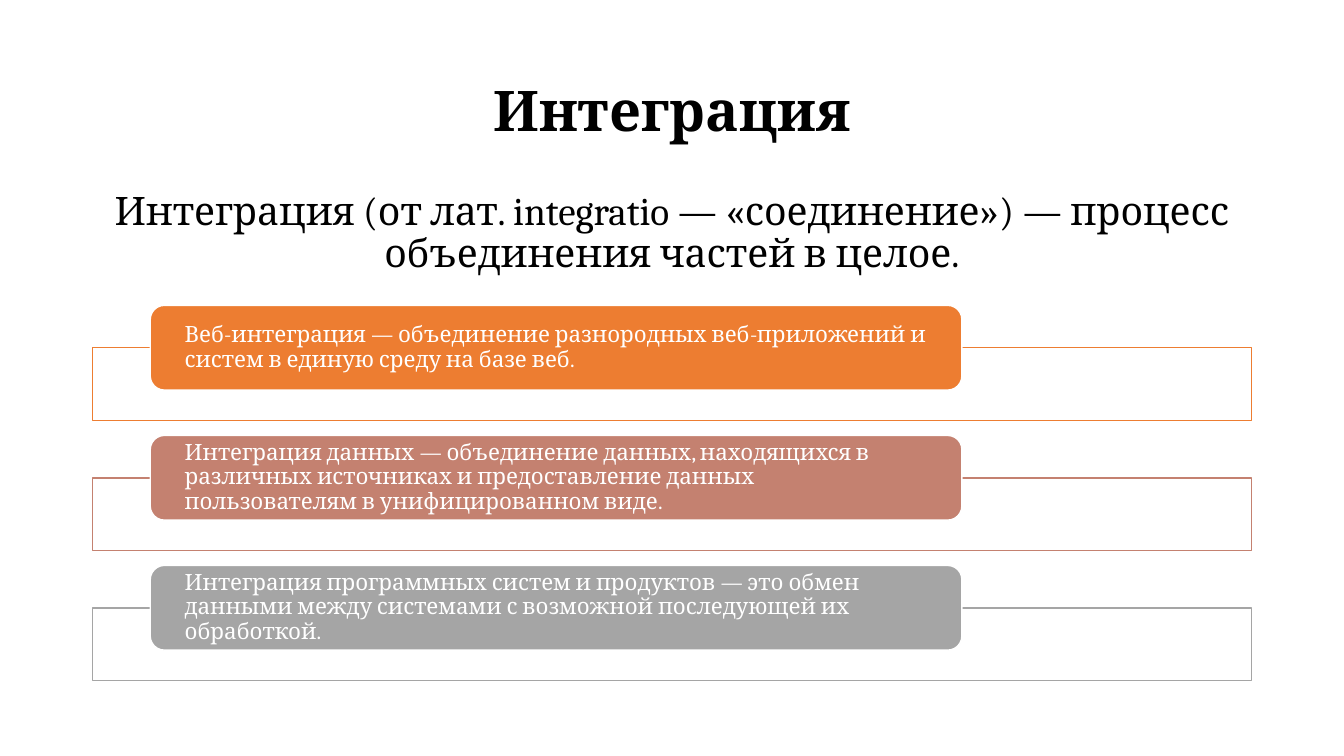
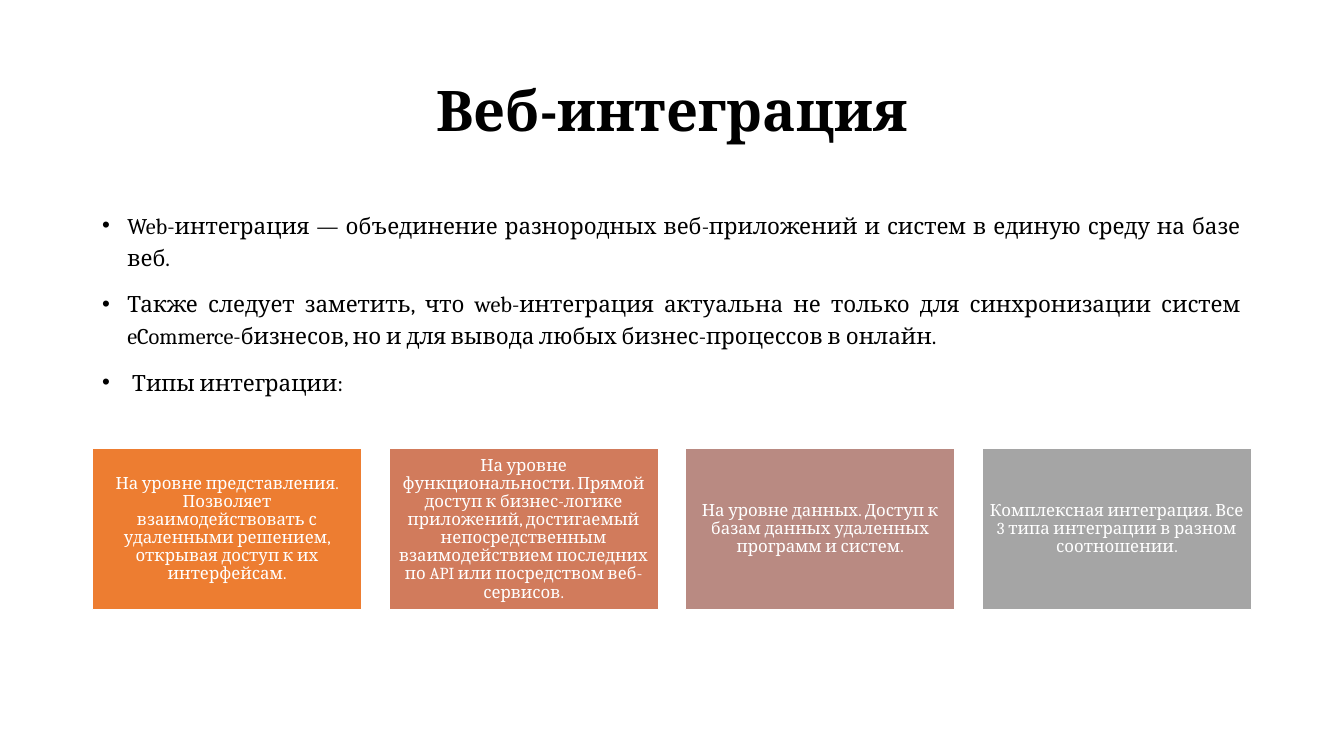
"""Build two slides on integration and its types."""
from dataclasses import dataclass

import lxml.etree
import pptx
import pptx.dml.color
import pptx.enum.shapes
import pptx.enum.text
import pptx.oxml.ns
import pptx.util

Inches = pptx.util.Inches
Pt = pptx.util.Pt
Align = pptx.enum.text.PP_ALIGN
Anchor = pptx.enum.text.MSO_ANCHOR
Preset = pptx.enum.shapes.MSO_SHAPE

SLIDE_WIDTH, SLIDE_HEIGHT = 13.33, 7.5
CONTENT_WIDTH = 11.5
MARGIN = (SLIDE_WIDTH - CONTENT_WIDTH) / 2
FONT = "Cambria"
BLACK, WHITE = "000000", "FFFFFF"
ORANGE, GRAY = "ED7D31", "A5A5A5"

BAND_TOP, BAND_PITCH, BAND_HEIGHT = 3.45, 1.29, 0.72
LABEL_RISE, LABEL_HEIGHT = 0.42, 0.84
LABEL_INDENT, LABEL_SHARE = 0.05, 0.7

CARD_TOP, CARD_HEIGHT = 4.45, 1.6
CARD_GAP_SHARE = 0.1
BULLET_INDENT = 0.25


@dataclass(frozen=True)
class Box:
    left: float
    top: float
    width: float
    height: float

    def lengths(self) -> tuple:
        return tuple(map(Inches, (self.left, self.top, self.width, self.height)))


@dataclass(frozen=True)
class Style:
    size: float
    color: str = BLACK
    bold: bool = False
    align: Align = Align.CENTER
    anchor: Anchor = Anchor.MIDDLE
    line_spacing: float = 0.9
    space_before: float = 0
    bullet: str = ""
    inset_x: float = 0.1
    inset_y: float = 0.05


@dataclass(frozen=True)
class Item:
    text: str
    color: str


TITLE_BOX = Box(MARGIN, 0.4, CONTENT_WIDTH, 1.45)
TITLE = Style(40, bold=True)
DEFINITION = Style(28, anchor=Anchor.TOP, space_before=10)
BULLETS = Style(16, align=Align.JUSTIFY, anchor=Anchor.TOP,
                line_spacing=1.2, space_before=10, bullet="•")
LABEL = Style(16, WHITE, align=Align.LEFT, inset_x=0.3, inset_y=0)
CARD = Style(12, WHITE, inset_x=0.05)

KINDS = [
    Item("Веб-интеграция — объединение разнородных веб-приложений и систем "
         "в единую среду на базе веб.", ORANGE),
    Item("Интеграция данных — объединение данных, находящихся в различных источниках "
         "и предоставление данных пользователям в унифицированном виде.", "C48170"),
    Item("Интеграция программных систем и продуктов — это обмен данными между "
         "системами с возможной последующей их обработкой.", GRAY),
]
WEB_NOTES = [
    "Web-интеграция — объединение разнородных веб-приложений и систем "
    "в единую среду на базе веб.",
    "Также следует заметить, что web-интеграция актуальна не только для синхронизации "
    "систем eCommerce-бизнесов, но и для вывода любых бизнес-процессов в онлайн.",
    " Типы интеграции:",
]
LEVELS = [
    Item("На уровне представления. Позволяет взаимодействовать с удаленными решением, "
         "открывая доступ к их интерфейсам.", ORANGE),
    Item("На уровне функциональности. Прямой доступ к бизнес-логике приложений, "
         "достигаемый непосредственным взаимодействием последних по API "
         "или посредством веб-сервисов.", "D17B5C"),
    Item("На уровне данных. Доступ к базам данных удаленных программ и систем.", "B98A82"),
    Item("Комплексная интеграция. Все 3 типа интеграции в разном соотношении.", GRAY),
]


def rgb(value: str) -> pptx.dml.color.RGBColor:
    return pptx.dml.color.RGBColor.from_string(value)


def add_bullet(paragraph, mark: str) -> None:
    properties = paragraph._p.get_or_add_pPr()
    properties.set("marL", str(Inches(BULLET_INDENT)))
    properties.set("indent", str(-Inches(BULLET_INDENT)))
    qn = pptx.oxml.ns.qn
    lxml.etree.SubElement(properties, qn("a:buFont")).set("typeface", "Arial")
    lxml.etree.SubElement(properties, qn("a:buChar")).set("char", mark)


def write(frame, texts: list[str], style: Style) -> None:
    frame.word_wrap = True
    frame.vertical_anchor = style.anchor
    frame.margin_left = frame.margin_right = Inches(style.inset_x)
    frame.margin_top = frame.margin_bottom = Inches(style.inset_y)
    for index, text in enumerate(texts):
        paragraph = frame.add_paragraph() if index else frame.paragraphs[0]
        paragraph.text = text
        paragraph.alignment = style.align
        paragraph.line_spacing = style.line_spacing
        paragraph.space_before = Pt(style.space_before)
        if style.bullet:
            add_bullet(paragraph, style.bullet)
        font = paragraph.font
        font.name, font.size, font.bold = FONT, Pt(style.size), style.bold
        font.color.rgb = rgb(style.color)


def add_text(slide, box: Box, texts: list[str], style: Style) -> None:
    write(slide.shapes.add_textbox(*box.lengths()).text_frame, texts, style)


def add_panel(slide, preset: Preset, box: Box, fill: str, line: str):
    panel = slide.shapes.add_shape(preset, *box.lengths())
    panel.shadow.inherit = False
    panel.fill.solid()
    panel.fill.fore_color.rgb = rgb(fill)
    panel.line.color.rgb = rgb(line)
    panel.line.width = Pt(1)
    return panel


def add_titled_slide(deck, title: str):
    slide = deck.slides.add_slide(deck.slide_layouts[6])
    add_text(slide, TITLE_BOX, [title], TITLE)
    return slide


def add_bands(slide, items: list[Item]) -> None:
    for row, item in enumerate(items):
        top = BAND_TOP + row * BAND_PITCH
        band = Box(MARGIN, top, CONTENT_WIDTH, BAND_HEIGHT)
        add_panel(slide, Preset.RECTANGLE, band, WHITE, item.color)
        label = Box(MARGIN + LABEL_INDENT * CONTENT_WIDTH, top - LABEL_RISE,
                    LABEL_SHARE * CONTENT_WIDTH, LABEL_HEIGHT)
        panel = add_panel(slide, Preset.ROUNDED_RECTANGLE, label, item.color, WHITE)
        write(panel.text_frame, [item.text], LABEL)


def add_cards(slide, items: list[Item]) -> None:
    width = CONTENT_WIDTH / (len(items) + CARD_GAP_SHARE * (len(items) - 1))
    for column, item in enumerate(items):
        left = MARGIN + column * width * (1 + CARD_GAP_SHARE)
        panel = add_panel(slide, Preset.RECTANGLE,
                          Box(left, CARD_TOP, width, CARD_HEIGHT), item.color, WHITE)
        write(panel.text_frame, [item.text], CARD)


def main() -> None:
    deck = pptx.Presentation()
    deck.slide_width, deck.slide_height = Inches(SLIDE_WIDTH), Inches(SLIDE_HEIGHT)

    integration = add_titled_slide(deck, "Интеграция")
    add_text(integration, Box(MARGIN, 1.85, CONTENT_WIDTH, 1.37),
             ["Интеграция (от лат. integratio — «соединение») — процесс "
              "объединения частей в целое."], DEFINITION)
    add_bands(integration, KINDS)

    web = add_titled_slide(deck, "Веб-интеграция")
    add_text(web, Box(MARGIN, 2, CONTENT_WIDTH, 1.8), WEB_NOTES, BULLETS)
    add_cards(web, LEVELS)

    deck.save("out.pptx")


if __name__ == "__main__":
    main()
